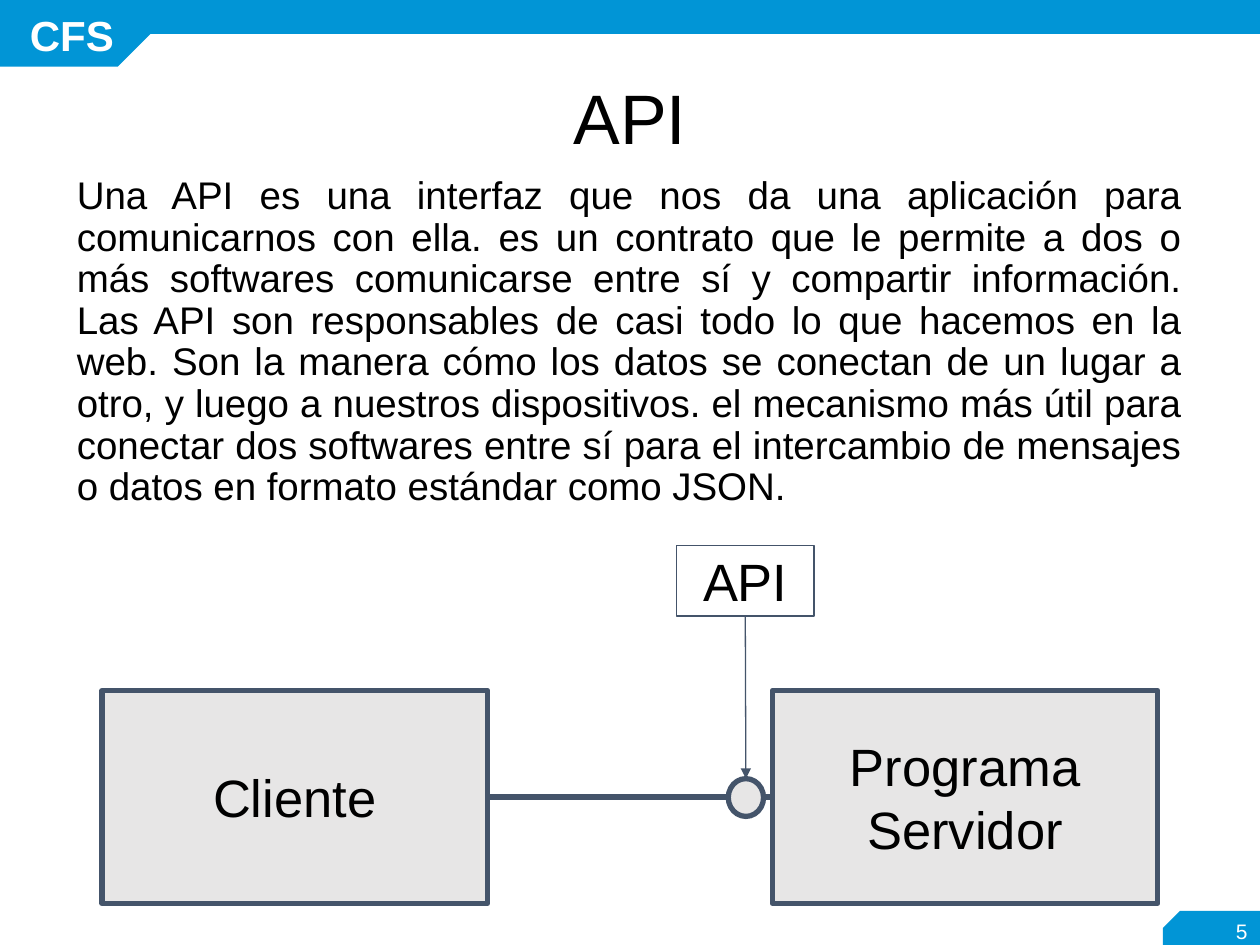
from dataclasses import dataclass

from lxml import etree
from pptx import Presentation
from pptx.dml.color import RGBColor
from pptx.enum.shapes import MSO_CONNECTOR, MSO_SHAPE
from pptx.enum.text import MSO_ANCHOR, MSO_AUTO_SIZE, PP_ALIGN
from pptx.oxml.ns import qn
from pptx.util import Inches, Pt

RECT, SNIP, OVAL = MSO_SHAPE.RECTANGLE, MSO_SHAPE.SNIP_1_RECTANGLE, MSO_SHAPE.OVAL
STRAIGHT = MSO_CONNECTOR.STRAIGHT
MIDDLE, TOP = MSO_ANCHOR.MIDDLE, MSO_ANCHOR.TOP
CENTER, RIGHT, JUSTIFY = PP_ALIGN.CENTER, PP_ALIGN.RIGHT, PP_ALIGN.JUSTIFY
SITE_TOP, SITE_LEFT, SITE_BOTTOM, SITE_RIGHT = range(4)
COLS, ROWS = 100, 75

BODY = (
    "Una API es una interfaz que nos da una aplicación para comunicarnos con ella. "
    "es un contrato que le permite a dos o más softwares comunicarse entre sí y "
    "compartir información. Las API son responsables de casi todo lo que hacemos en "
    "la web. Son la manera cómo los datos se conectan de un lugar a otro, y luego a "
    "nuestros dispositivos. el mecanismo más útil para conectar dos softwares entre "
    "sí para el intercambio de mensajes o datos en formato estándar como JSON."
)


@dataclass(frozen=True)
class Theme:
    font: str = "Arial"
    brand: str = "0195D6"
    panel: str = "E7E6E6"
    edge: str = "44546A"
    ink: str = "000000"
    paper: str = "FFFFFF"
    title: float = 40
    label: float = 30
    tag: float = 24
    body: float = 22
    number: float = 12
    thick: float = 3
    thin: float = 0.75


class Deck:
    def __init__(self, theme):
        self.theme = theme
        self.prs = Presentation()
        self.prs.slide_width, self.prs.slide_height = Inches(10), Inches(7.5)
        self.slide = self.prs.slides.add_slide(self.prs.slide_layouts[1])

    def cells(self, col, row, cols, rows):
        w, h = self.prs.slide_width / COLS, self.prs.slide_height / ROWS
        return [round(v) for v in (col * w, row * h, cols * w, rows * h)]

    def set_text(self, sp, text, size, color, align=CENTER, anchor=MIDDLE,
                 bold=False, inset=0):
        tf = sp.text_frame
        tf.text = text
        tf.word_wrap, tf.auto_size = True, MSO_AUTO_SIZE.NONE
        tf.vertical_anchor = anchor
        tf.margin_left = tf.margin_right = Inches(0.1)
        tf.margin_top = tf.margin_bottom = Inches(inset)
        p = tf.paragraphs[0]
        p.alignment = align
        f = p.runs[0].font
        f.name, f.size, f.bold = self.theme.font, Pt(size), bold
        f.color.rgb = RGBColor.from_string(color)
        return p

    def placeholder(self, idx, at, text, size, **style):
        sp = self.slide.placeholders[idx]
        sp.left, sp.top, sp.width, sp.height = self.cells(*at)
        p = self.set_text(sp, text, size, self.theme.ink, inset=0.05, **style)
        p.line_spacing = 0.9
        return p

    def title(self, at, text):
        self.placeholder(0, at, text, self.theme.title)

    def body(self, at, text):
        p = self.placeholder(1, at, text, self.theme.body, align=JUSTIFY, anchor=TOP)
        p.space_before = Pt(10)
        pPr = p._p.get_or_add_pPr()
        pPr.set("marL", "0")
        pPr.set("indent", "0")
        etree.SubElement(pPr, qn("a:buNone"))

    def text(self, at, text, size, **style):
        sp = self.slide.shapes.add_textbox(*self.cells(*at))
        self.set_text(sp, text, size, self.theme.paper, **style)

    def shape(self, kind, at, fill=None, line=None, text=None):
        sp = self.slide.shapes.add_shape(kind, *self.cells(*at))
        sp.shadow.inherit = False
        if fill:
            sp.fill.solid()
            sp.fill.fore_color.rgb = RGBColor.from_string(fill)
        else:
            sp.fill.background()
        if line:
            sp.line.color.rgb = RGBColor.from_string(self.theme.edge)
            sp.line.width = Pt(line)
        else:
            sp.line.fill.background()
        if text:
            self.set_text(sp, text, self.theme.label, self.theme.ink)
        return sp

    def tab(self, at, flip, snip):
        sp = self.shape(SNIP, at, self.theme.brand)
        sp.adjustments[0] = snip
        sp._element.spPr.find(qn("a:xfrm")).set(flip, "1")

    def link(self, start, start_site, end, end_site, width, arrow=False):
        c = self.slide.shapes.add_connector(STRAIGHT, 0, 0, 0, 0)
        c.begin_connect(start, start_site)
        c.end_connect(end, end_site)
        c.line.color.rgb = RGBColor.from_string(self.theme.edge)
        c.line.width = Pt(width)
        spPr = c._element.spPr
        if arrow:
            etree.SubElement(spPr.find(qn("a:ln")), qn("a:tailEnd"), type="triangle")
        etree.SubElement(spPr, qn("a:effectLst"))


def main():
    t = Theme()
    deck = Deck(t)

    deck.tab((92.3, 72.3, 7.7, 2.7), "flipH", 0.57)
    deck.shape(RECT, (11.2, 0, 88.8, 2.7), t.brand)
    deck.tab((0, 0, 12, 5.3), "flipV", 0.5)
    deck.text((0.7, 0.4, 10, 4.7), "CFS", t.tag, bold=True)

    deck.title((6.9, 3, 86.2, 13.3), "API")
    deck.body((5.1, 13.5, 89.7, 29.2), BODY)

    client, server = [
        deck.shape(RECT, (col, 54.8, 30.6, 16.9), t.panel, t.thick, name)
        for col, name in ((8.1, "Cliente"), (61.3, "Programa Servidor"))
    ]
    deck.link(client, SITE_RIGHT, server, SITE_LEFT, t.thick)
    port = deck.shape(OVAL, (57.8, 61.8, 2.8, 3), t.panel, t.thick)
    api = deck.shape(RECT, (53.7, 43.3, 10.9, 5.6), line=t.thin, text="API")
    deck.link(api, SITE_BOTTOM, port, SITE_TOP, t.thin, arrow=True)

    deck.text((93.9, 72.8, 6.1, 2.2), "5", t.number, align=RIGHT)
    deck.prs.save("out.pptx")


if __name__ == "__main__":
    main()
